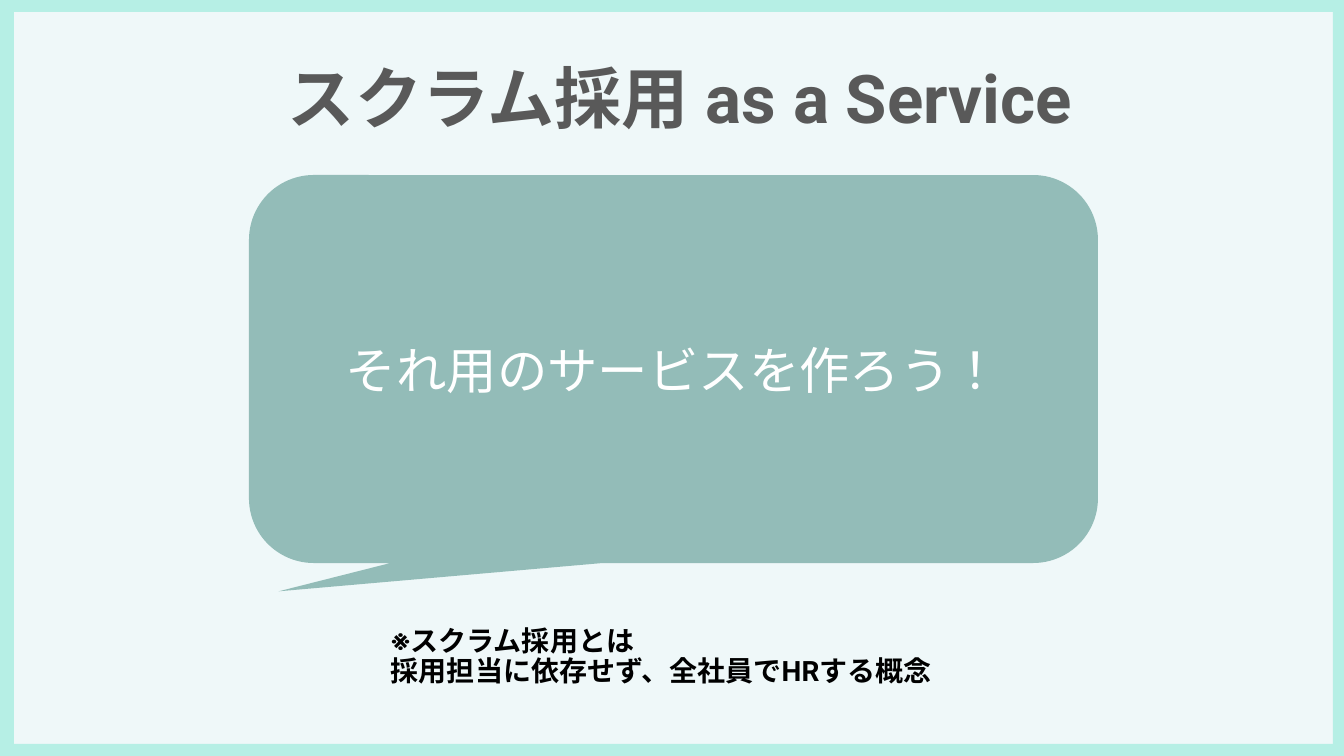
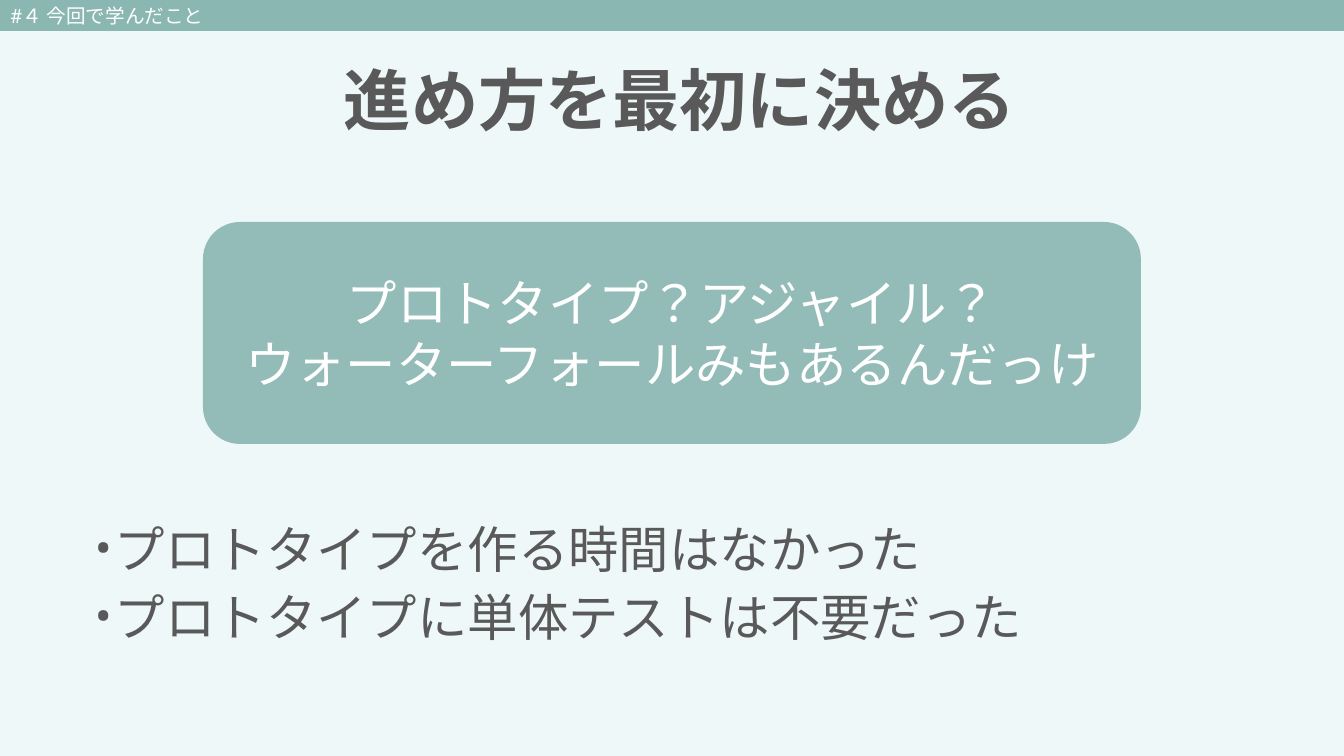
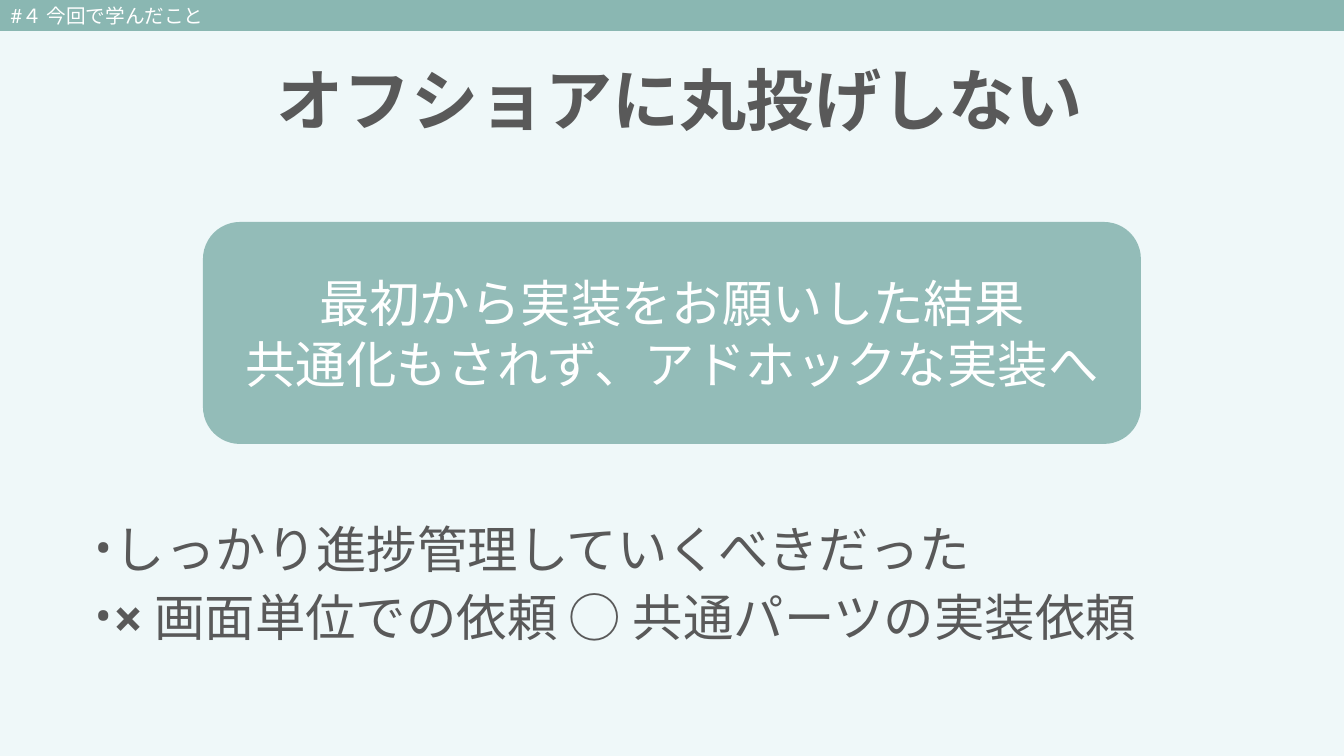
from lxml.etree import SubElement
from pptx import Presentation
from pptx.dml.color import RGBColor
from pptx.enum.lang import MSO_LANGUAGE_ID as LANG
from pptx.enum.shapes import MSO_SHAPE as SHAPE
from pptx.enum.text import MSO_ANCHOR as ANCHOR, PP_ALIGN as ALIGN
from pptx.oxml.ns import qn
from pptx.util import Pt

# Shared look
SCALE = 12192000 / 1344  # EMU per px
W, H = 1344, 756
FONT = "Roboto"
BULLET_INDENT = 20
COLORS = {
    "bg": "EFF8F9",
    "frame": "B6EFE5",
    "accent": "8AB7B2",
    "text": "595959",
    "white": "FFFFFF",
    "black": "000000",
}


def px(n):
    return round(n * SCALE)


def rgb(name):
    return RGBColor.from_string(COLORS[name])


def add_slide(prs):
    s = prs.slides.add_slide(prs.slide_layouts[6])
    s.background.fill.solid()
    s.background.fill.fore_color.rgb = rgb("bg")
    return s


def add_bullet(p):
    pPr = p._p.get_or_add_pPr()
    pPr.set("marL", str(px(BULLET_INDENT)))
    pPr.set("indent", str(-px(BULLET_INDENT)))
    SubElement(pPr, qn("a:buFont"), typeface=FONT)
    SubElement(pPr, qn("a:buChar"), char="•")


def add_run(p, text, size, color, bold):
    r = p.add_run()
    r.text = text
    f = r.font
    f.size, f.bold, f.name = Pt(size), bold, FONT
    f.color.rgb = rgb(color)
    f.language_id = LANG.JAPANESE
    SubElement(r._r.get_or_add_rPr(), qn("a:ea"), typeface=FONT)


def write(sp, lines, size, color, bold=False, align=ALIGN.LEFT,
          anchor=ANCHOR.MIDDLE, spacing=1.0, gap=0, bullets=False):
    """Write one paragraph per line; a line is a list of (text, bold) or a string."""
    tf = sp.text_frame
    tf.word_wrap = True
    tf.vertical_anchor = anchor
    for i, line in enumerate(lines):
        p = tf.add_paragraph() if i else tf.paragraphs[0]
        if bullets:
            add_bullet(p)
        p.alignment = align
        p.line_spacing = spacing
        if i and gap:
            p.space_before = Pt(gap)
        runs = [(line, bold)] if isinstance(line, str) else line
        for text, run_bold in runs:
            add_run(p, text, size, color, run_bold)


def add_text(s, box, lines, size, color, **style):
    sp = s.shapes.add_textbox(*map(px, box))
    write(sp, lines, size, color, spacing=0.9, **style)


def add_block(s, kind, box, color, opacity=100):
    sp = s.shapes.add_shape(kind, *map(px, box))
    sp.shadow.inherit = False
    sp.line.fill.background()
    sp.fill.solid()
    sp.fill.fore_color.rgb = rgb(color)
    if opacity < 100:
        clr = sp.fill._xPr.find(".//" + qn("a:srgbClr"))
        SubElement(clr, qn("a:alpha"), val=str(opacity * 1000))
    return sp


def add_title(s, text, box):
    add_text(s, box, [text], 48, "text", bold=True, align=ALIGN.CENTER)


def add_message(s, kind, box, lines):
    sp = add_block(s, kind, box, "accent", opacity=91)
    write(sp, lines, 36, "white", align=ALIGN.CENTER)
    return sp


def add_frame(s):
    for box in ((0, 0, W, 12), (0, H - 12, W, 12),
                (0, 0, 14, H), (W - 11, 0, 11, H)):
        add_block(s, SHAPE.RECTANGLE, box, "frame")


def service_slide(prs):
    s = add_slide(prs)
    add_frame(s)
    add_title(s, " スクラム採用 as a Service", (92, 29, 1159, 146))
    callout = add_message(s, SHAPE.ROUNDED_RECTANGULAR_CALLOUT,
                          (249, 175, 849, 388), ["それ用のサービスを作ろう！"])
    for i, value in enumerate((-0.465, 0.573, 0.167)):
        callout.adjustments[i] = value
    add_text(s, (381, 616, 585, 83),
             ["※スクラム採用とは", "採用担当に依存せず、全社員でHRする概念"],
             20, "black", bold=True)


def lesson_slide(prs, title, message, points):
    s = add_slide(prs)
    add_title(s, title, (66, 31, 1211, 146))
    add_message(s, SHAPE.ROUNDED_RECTANGLE, (203, 222, 938, 222), message)
    add_text(s, (85, 520, 1192, 146), points, 36, "text",
             anchor=ANCHOR.TOP, gap=10, bullets=True)
    # Section band
    band = add_block(s, SHAPE.RECTANGLE, (0, 0, W, 31), "accent")
    write(band, ["#４ 今回で学んだこと"], 14, "white")


def main():
    prs = Presentation()
    prs.slide_width, prs.slide_height = px(W), px(H)
    service_slide(prs)
    lesson_slide(
        prs, " 進め方を最初に決める",
        ["プロトタイプ？アジャイル？", "ウォーターフォールみもあるんだっけ"],
        ["プロトタイプを作る時間はなかった",
         "プロトタイプに単体テストは不要だった"])
    lesson_slide(
        prs, " オフショアに丸投げしない",
        ["最初から実装をお願いした結果", "共通化もされず、アドホックな実装へ"],
        ["しっかり進捗管理していくべきだった",
         [("×", True), (" 画面単位での依頼 ", False),
          ("◯", True), (" 共通パーツの実装依頼", False)]])
    prs.save("out.pptx")


if __name__ == "__main__":
    main()
